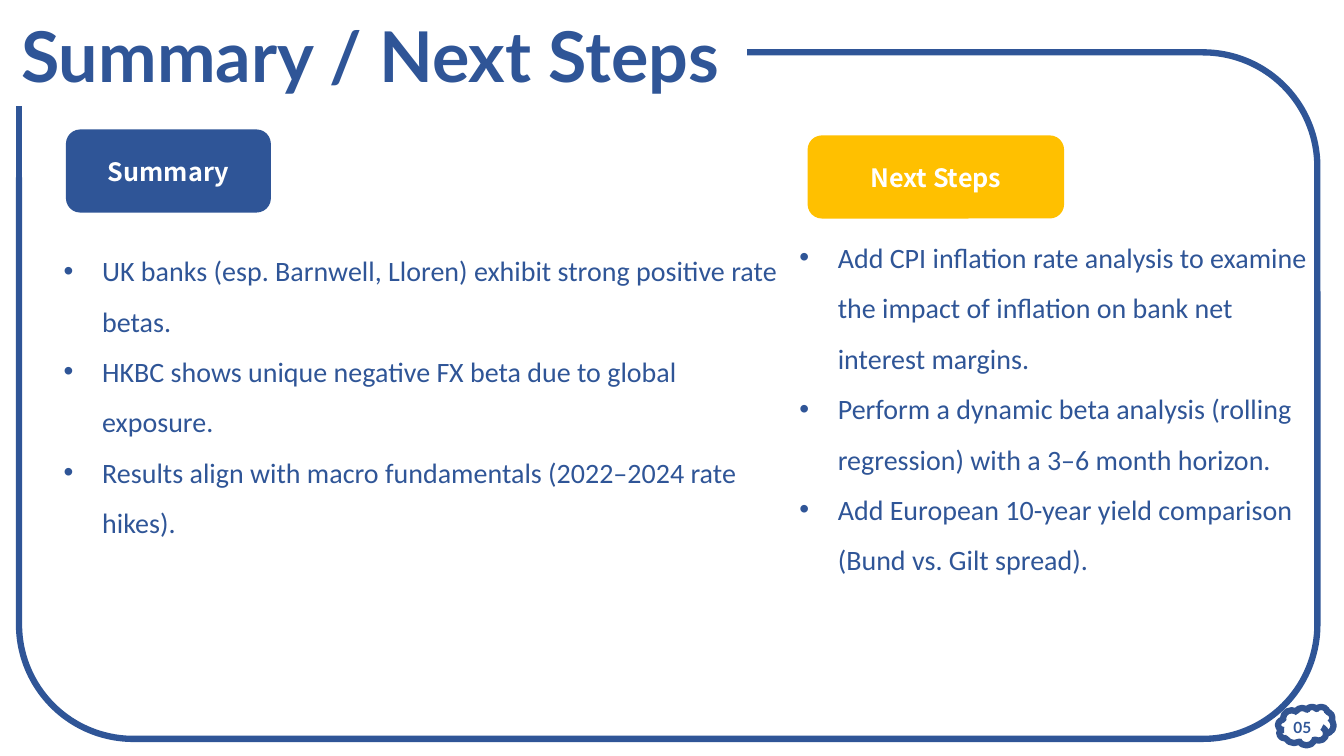
from pptx import Presentation
from pptx.dml.color import RGBColor
from pptx.enum.shapes import MSO_CONNECTOR, MSO_SHAPE
from pptx.enum.text import MSO_ANCHOR, MSO_AUTO_SIZE, PP_ALIGN
from pptx.oxml.ns import qn
from pptx.util import Cm, Pt
from lxml.etree import SubElement
from dataclasses import dataclass

TITLE = "Summary / Next Steps"
PAGE = "05"
PARTS = [
    {"name": "Summary", "fill": "blue",
     "tag": (1.68, 3.28, 5.13, 2.06), "box": (1.35, 5.84, 18.54, 7.82),
     "list": ["UK banks (esp. Barnwell, Lloren) exhibit strong positive rate betas.",
              "HKBC shows unique negative FX beta due to global exposure.",
              "Results align with macro fundamentals (2022–2024 rate hikes)."]},
    {"name": "Next Steps", "fill": "gold",
     "tag": (20.37, 3.43, 6.43, 2.06), "box": (19.89, 5.51, 13.41, 9.09),
     "list": ["Add CPI inflation rate analysis to examine the impact of inflation "
              "on bank net interest margins.",
              "Perform a dynamic beta analysis (rolling regression) with a "
              "3–6 month horizon.",
              "Add European 10-year yield comparison (Bund vs. Gilt spread)."]},
]
FRAME = (0.48, 1.32, 32.72, 17.3)
HEAD = (0.28, 0.2, 18.54, 4.27)
CLOUD = (32.21, 17.81, 1.4, 0.97)
COUNT = (31.98, 17.96, 1.32, 0.74)
EDGE = (0.48, 5.03, 0.48, 2.67)
INDENT = 0.97


@dataclass(frozen=True)
class Theme:
    """Colours, fonts and type sizes of the slide."""
    blue: str = "2F5597"
    navy: str = "325491"
    gold: str = "FFC000"
    white: str = "FFFFFF"
    head: str = "Lato"
    body: str = "Calibri"
    label: str = "Noto Sans CJK JP"
    big: float = 50
    text: float = 20
    tag: float = 18
    page: float = 11
    rule: float = 4.5


LOOK = Theme()


def tint(name):
    """Return a theme colour."""
    return RGBColor.from_string(getattr(LOOK, name))


def place(shape, box):
    """Move and size a shape, in centimetres."""
    shape.left, shape.top, shape.width, shape.height = map(Cm, box)


def write(shape, *lines, font, size, color="blue", bold=False,
          align=PP_ALIGN.LEFT, anchor=MSO_ANCHOR.TOP, space=1.0, bullet=False):
    """Fill a shape with formatted paragraphs."""
    frame = shape.text_frame
    frame.word_wrap = True
    frame.auto_size = MSO_AUTO_SIZE.NONE
    frame.vertical_anchor = anchor
    frame.text = "\n".join(lines)
    for para in frame.paragraphs:
        para.alignment = align
        para.line_spacing = space
        para.space_before = para.space_after = Pt(0)
        if bullet:
            props = para._p.get_or_add_pPr()
            props.set("marL", str(Cm(INDENT)))
            props.set("indent", str(-Cm(INDENT)))
            SubElement(props, qn("a:buFont"), typeface="Arial")
            SubElement(props, qn("a:buChar"), char="•")
        for run in para.runs:
            run.font.name, run.font.size = font, Pt(size)
            run.font.bold, run.font.color.rgb = bold, tint(color)


def draw(slide, kind, box, line, width, fill=None):
    """Add a preset shape with an outline and an optional fill."""
    shape = slide.shapes.add_shape(kind, *map(Cm, box))
    shape.shadow.inherit = False
    shape.line.color.rgb, shape.line.width = tint(line), Pt(width)
    if fill:
        shape.fill.solid()
        shape.fill.fore_color.rgb = tint(fill)
    else:
        shape.fill.background()
    return shape


def main():
    """Build the slide and save it."""
    deck = Presentation()
    deck.slide_width, deck.slide_height = Cm(33.87), Cm(19.05)
    slide = deck.slides.add_slide(deck.slide_layouts[3])
    title, *lists = slide.placeholders

    frame = draw(slide, MSO_SHAPE.ROUNDED_RECTANGLE, FRAME, "blue", LOOK.rule)
    place(title, HEAD)
    title.fill.solid()
    title.fill.fore_color.rgb = tint("white")
    write(title, TITLE, font=LOOK.head, size=LOOK.big, bold=True)
    frame.element.addnext(title.element)

    draw(slide, MSO_SHAPE.CLOUD, CLOUD, "navy", LOOK.rule, "white")
    count = slide.shapes.add_textbox(*map(Cm, COUNT))
    write(count, PAGE, font=LOOK.head, size=LOOK.page, bold=True,
          align=PP_ALIGN.RIGHT)

    for part, body in zip(PARTS, lists):
        place(body, part["box"])
        write(body, *part["list"], font=LOOK.body, size=LOOK.text,
              space=1.5, bullet=True)
        title.element.addnext(body.element)
        tag = draw(slide, MSO_SHAPE.ROUNDED_RECTANGLE, part["tag"],
                   part["fill"], 1, part["fill"])
        write(tag, part["name"], font=LOOK.label, size=LOOK.tag, color="white",
              bold=True, align=PP_ALIGN.CENTER, anchor=MSO_ANCHOR.MIDDLE)

    edge = slide.shapes.add_connector(MSO_CONNECTOR.STRAIGHT, *map(Cm, EDGE))
    edge.line.color.rgb, edge.line.width = tint("blue"), Pt(LOOK.rule)
    SubElement(edge.element.spPr, qn("a:effectLst"))
    deck.save("out.pptx")


if __name__ == "__main__":
    main()
